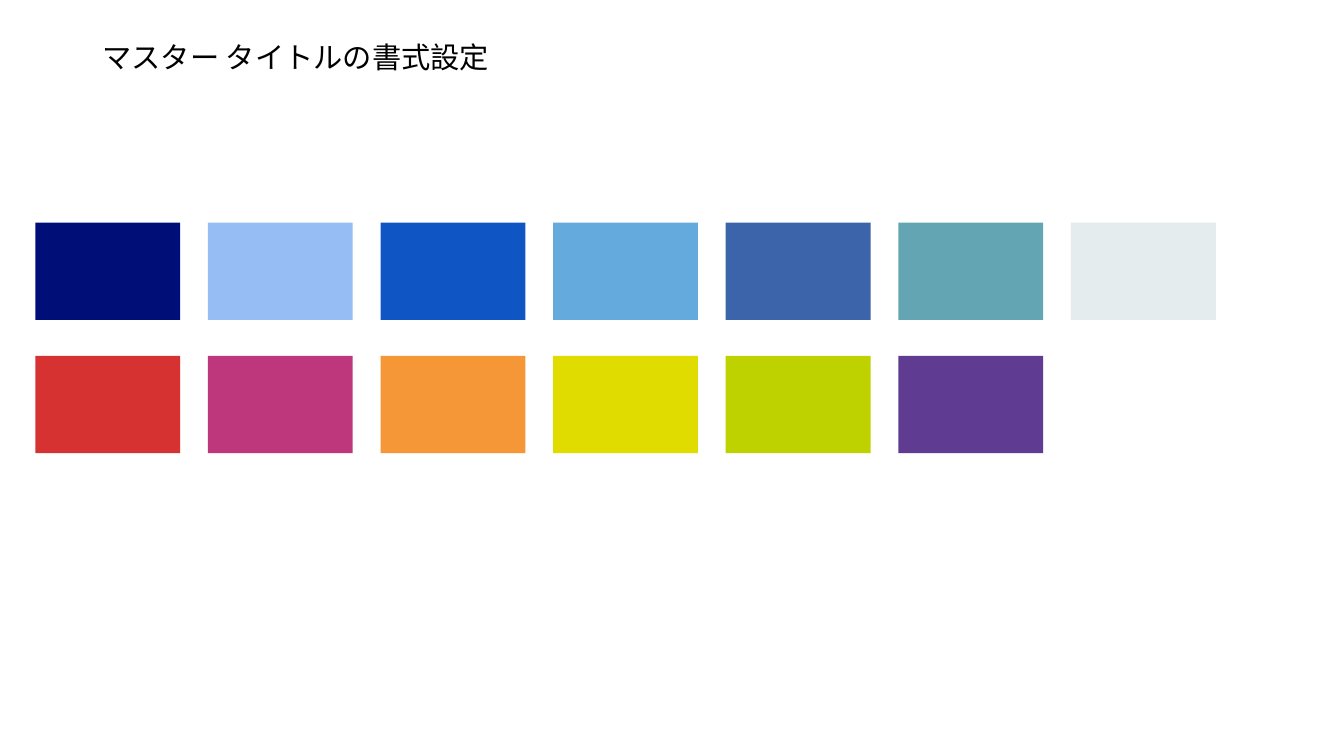
from lxml import etree
from pptx import Presentation
from pptx import util as u
from pptx.dml import color
from pptx.enum import shapes, text
from pptx.oxml import ns

FONT = "Noto Sans CJK JP"
PALETTE = [
    ["000F78", "96BEF5", "0F55C3", "64AADC", "3C64AA", "64A5B4", "E4ECED"],
    ["D73232", "BE377D", "F59637", "E1DC00", "BED200", "5F3C91"],
]
SWATCH_LEFT, SWATCH_TOP = 0.89, 5.61
SWATCH_WIDTH, SWATCH_HEIGHT = 3.65, 2.45
COLUMN_PITCH, ROW_PITCH = 4.35, 3.36


def paint(target, hex_colour):
    rgb = color.RGBColor.from_string(hex_colour)
    if hasattr(target, "solid"):
        target.solid()
        target.fore_color.rgb = rgb
    else:
        target.color.rgb = rgb


def write(frame, wording, *, size, colour, spacing=1.0,
          align=text.PP_ALIGN.LEFT, anchor=text.MSO_ANCHOR.MIDDLE):
    frame.word_wrap = True
    frame.auto_size = text.MSO_AUTO_SIZE.NONE
    frame.vertical_anchor = anchor
    paragraph = frame.paragraphs[0]
    paragraph.alignment = align
    paragraph.line_spacing = spacing
    run = paragraph.add_run()
    run.text = wording
    run.font.size = u.Pt(size)
    run.font.name = FONT
    paint(run.font, colour)
    east_asian = etree.SubElement(run.font._element, ns.qn("a:ea"))
    east_asian.set("typeface", FONT)


def place_heading(slide, wording):
    heading = slide.shapes.title
    heading.left, heading.top = u.Cm(2.33), u.Cm(1.06)
    heading.width, heading.height = u.Cm(29.21), u.Cm(0.94)
    write(heading.text_frame, wording, size=20.9, colour="000000", spacing=0.7)


def add_swatch(slide, row, column, colour):
    swatch = slide.shapes.add_shape(
        shapes.MSO_SHAPE.RECTANGLE,
        u.Cm(SWATCH_LEFT + column * COLUMN_PITCH),
        u.Cm(SWATCH_TOP + row * ROW_PITCH),
        u.Cm(SWATCH_WIDTH), u.Cm(SWATCH_HEIGHT))
    swatch.shadow.inherit = False
    swatch.line.fill.background()
    paint(swatch.fill, colour)


def main():
    deck = Presentation()
    deck.slide_width, deck.slide_height = u.Cm(33.87), u.Cm(19.05)
    slide = deck.slides.add_slide(deck.slide_layouts.get_by_name("Title Only"))
    paint(slide.background.fill, "FFFFFF")
    place_heading(slide, "マスター タイトルの書式設定")
    for row, colours in enumerate(PALETTE):
        for column, colour in enumerate(colours):
            add_swatch(slide, row, column, colour)
    deck.save("out.pptx")


if __name__ == "__main__":
    main()
